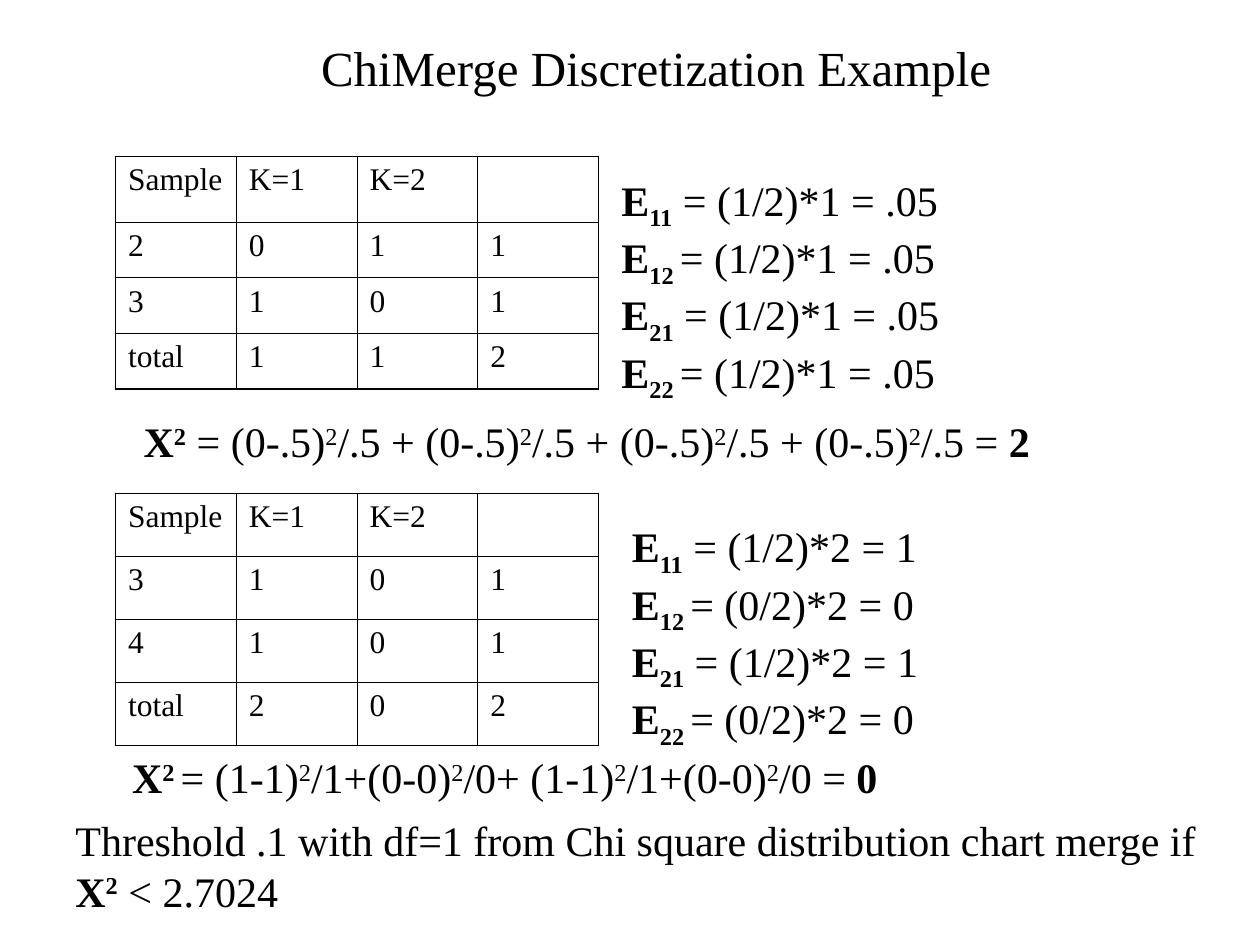
from lxml.etree import SubElement
from pptx import Presentation
from pptx.dml.color import RGBColor
from pptx.enum.text import MSO_ANCHOR as Anchor, MSO_AUTO_SIZE as AutoSize, PP_ALIGN as Align
from pptx.oxml.ns import qn
from pptx.util import Inches, Pt

COLUMNS, ROWS = 120, 90


def color(hex_code):
    return RGBColor.from_string(hex_code)


def split_marks(text):
    pieces, buffer = [], ""
    bold, baseline = False, 0
    for letter in text + "~":
        if letter not in "~^_":
            buffer += letter
            continue
        if buffer:
            pieces.append((buffer, bold, baseline))
            buffer = ""
        if letter == "~":
            bold = not bold
        else:
            shift = 30000 if letter == "^" else -25000
            baseline = 0 if baseline else shift
    return pieces


class ChiMergeSlide:
    font_name = "Times New Roman"
    ink = "000000"
    title_size, body_size, cell_size = 28, 24, 18
    inner_line, outer_line = 0.45, 1.08

    def __init__(self, deck):
        self.deck = deck
        self.page = deck.slides.add_slide(deck.slide_layouts[5])

    def area(self, left, top, width, height):
        across = self.deck.slide_width / COLUMNS
        down = self.deck.slide_height / ROWS
        return [int(left * across), int(top * down), int(width * across), int(height * down)]

    def style(self, font, size):
        font.name = self.font_name
        font.size = Pt(size)
        font.color.rgb = color(self.ink)

    def title(self, text, *place):
        box = self.page.shapes.title
        box.left, box.top, box.width, box.height = self.area(*place)
        frame = box.text_frame
        frame.text = text
        frame.auto_size = AutoSize.SHAPE_TO_FIT_TEXT
        frame.vertical_anchor = Anchor.TOP
        para = frame.paragraphs[0]
        para.alignment = Align.CENTER
        self.style(para.runs[0].font, self.title_size)

    def text(self, lines, *place, wrap=True):
        box = self.page.shapes.add_textbox(*self.area(*place))
        frame = box.text_frame
        frame.word_wrap = wrap
        frame.auto_size = AutoSize.SHAPE_TO_FIT_TEXT
        for index, line in enumerate(lines):
            para = frame.add_paragraph() if index else frame.paragraphs[0]
            for words, bold, baseline in split_marks(line):
                span = para.add_run()
                span.text = words
                self.style(span.font, self.body_size)
                span.font.bold = bold
                if baseline:
                    span.font._element.set("baseline", str(baseline))

    def border(self, cell, side, weight):
        line = SubElement(cell._tc.get_or_add_tcPr(), qn(f"a:ln{side}"), w=str(Pt(weight)))
        fill = SubElement(line, qn("a:solidFill"))
        SubElement(fill, qn("a:srgbClr"), val=self.ink)

    def table(self, records, left, top, width, row_heights):
        place = self.area(left, top, width, sum(row_heights))
        last_row, last_column = len(records) - 1, len(records[0]) - 1
        grid = self.page.shapes.add_table(last_row + 1, last_column + 1, *place).table
        grid.first_row = grid.horz_banding = False
        for row, height in zip(grid.rows, row_heights):
            row.height = self.area(0, 0, 0, height)[3]
        for r, record in enumerate(records):
            for c, value in enumerate(record):
                cell = grid.cell(r, c)
                cell.text = value
                for span in cell.text_frame.paragraphs[0].runs:
                    self.style(span.font, self.cell_size)
                edges = {"L": c == 0, "R": c == last_column, "T": r == 0, "B": r == last_row}
                for side, outer in edges.items():
                    self.border(cell, side, self.outer_line if outer else self.inner_line)
                cell.fill.background()


def expected_counts(results):
    labels = ["11_~ ", "12 _~", "21_~ ", "22 _~"]
    return [f"~E_{label}= {result}" for label, result in zip(labels, results)]


def main():
    deck = Presentation()
    deck.slide_width, deck.slide_height = Inches(10), Inches(7.5)
    slide = ChiMergeSlide(deck)
    header = ["Sample", "K=1", "K=2", ""]

    slide.title("ChiMerge Discretization Example", 18, 3, 89, 6.8)

    slide.table([header, list("2011"), list("3101"), ["total", "1", "1", "2"]],
                11, 14.9, 46, [6.25, 5.3, 5.3, 5.3])
    slide.text(expected_counts(["(1/2)*1 = .05"] * 4), 58, 16, 44.2, 23)
    terms = " + ".join(["(0-.5)^2^/.5"] * 4)
    slide.text([f"~X^2^~ = {terms} = ~2"], 12.5, 39, 86.8, 6, wrap=False)

    slide.table([header, list("3101"), list("4101"), ["total", "2", "0", "2"]],
                11, 47, 46, [6] * 4)
    slide.text(expected_counts(["(1/2)*2 = 1", "(0/2)*2 = 0"] * 2), 59, 49, 44.2, 23)
    slide.text(["~X^2 ^~= (1-1)^2^/1+(0-0)^2^/0+ (1-1)^2^/1+(0-0)^2^/0 = ~0"],
               11.4, 71, 73.8, 6, wrap=False)

    slide.text(["Threshold .1 with df=1 from Chi square distribution chart merge if ~X^2^~ < 2.7024"],
               6, 77, 110, 10.8)

    deck.save("out.pptx")


if __name__ == "__main__":
    main()
